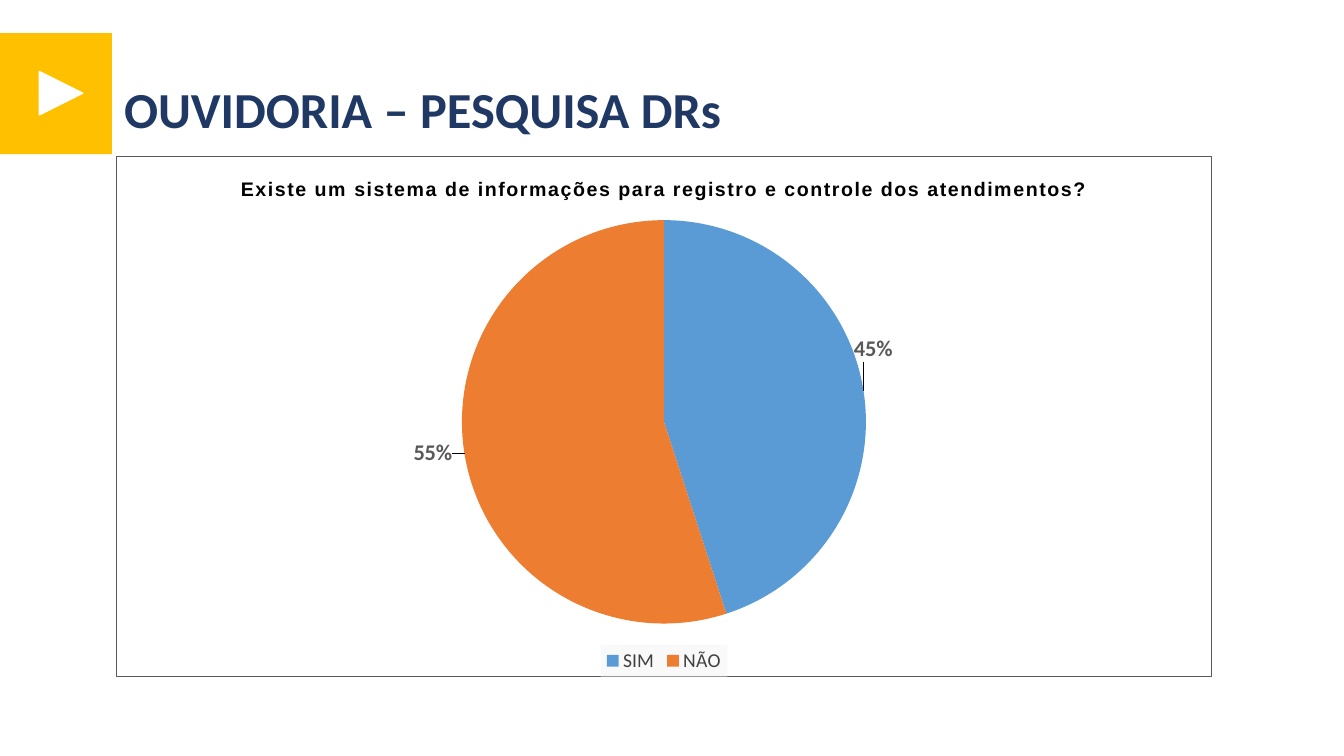
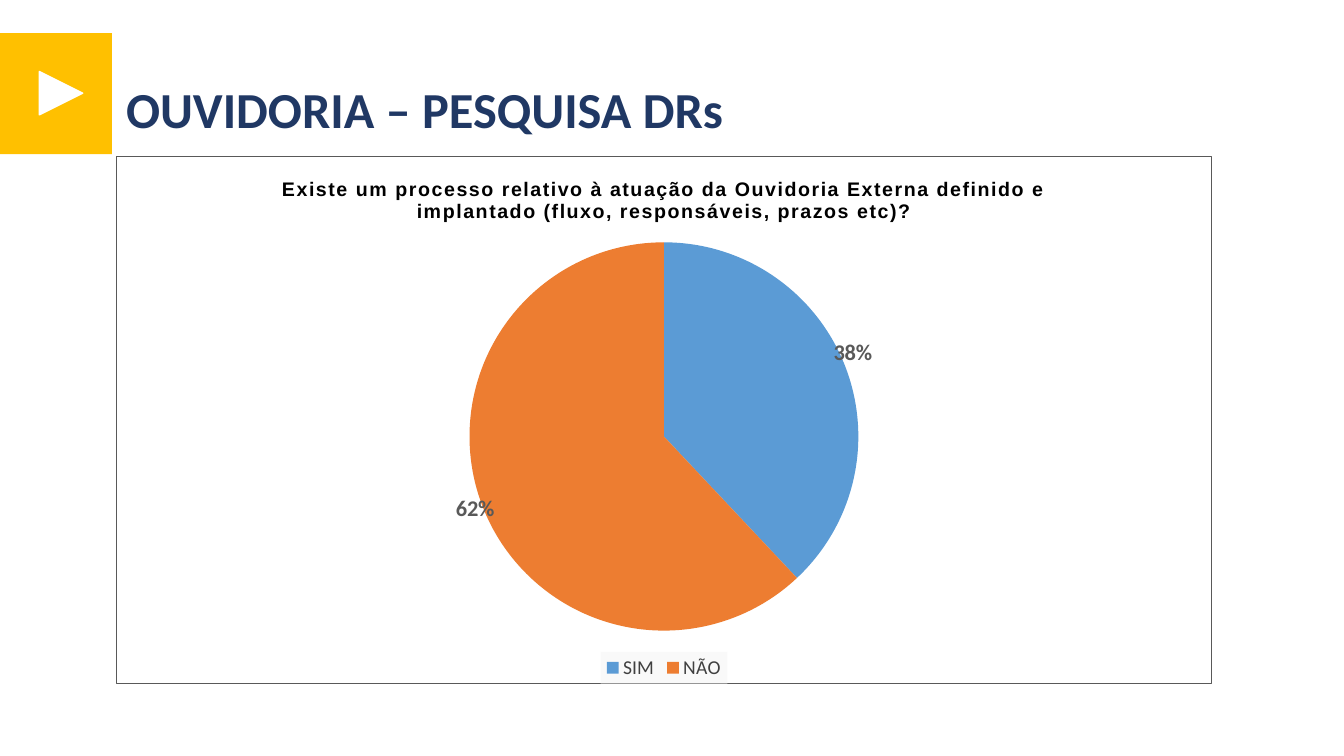
from pptx import Presentation
from pptx import util as u
from pptx.chart.data import CategoryChartData
from pptx.dml.color import RGBColor
from pptx.enum import chart as ch, shapes, text
from pptx.oxml import parse_xml
from pptx.oxml.ns import nsdecls

COLORS = {
    "accent": "FFC000", "white": "FFFFFF", "title": "203864",
    "black": "000000", "label": "595959", "legend": "404040",
    "legend_bg": "F2F2F2", "yes": "5B9BD5", "no": "ED7D31",
}
TITLE = "OUVIDORIA – PESQUISA DRs"
# Question, values, chart height, title left, label offsets (share of chart size)
SURVEYS = [
    ("Existe um sistema de informações para registro e controle dos atendimentos?",
     (45, 55), 5.17, 1.13, ((0.1, -0.11), (-0.12, 0.03))),
    ("Existe um processo relativo à atuação da Ouvidoria Externa definido e "
     "implantado (fluxo, responsáveis, prazos etc)?",
     (38, 62), 5.24, 1.15, ((0.09, -0.09), (-0.09, 0.07))),
]


def rgb(name):
    return RGBColor.from_string(COLORS[name])


def style_font(font, size, color, bold=False, name="Calibri"):
    font.size, font.bold, font.name = u.Pt(size), bold, name
    font.color.rgb = rgb(color)


def write(tf, content, align=text.PP_ALIGN.LEFT, spacing=None, **fmt):
    """Fill a text frame with one formatted run and return the run."""
    p = tf.paragraphs[0]
    p.alignment = align
    if spacing:
        p.line_spacing = spacing
    r = p.add_run()
    r.text = content
    style_font(r.font, **fmt)
    return r


def add_block(s, kind, box, color):
    sp = s.shapes.add_shape(kind, *map(u.Inches, box))
    sp.shadow.inherit = False
    sp.fill.solid()
    sp.fill.fore_color.rgb = rgb(color)
    sp.line.fill.background()
    return sp


def add_layout_marker(s):
    """Draw the play marker and move it to the shared layout."""
    square = add_block(s, shapes.MSO_SHAPE.RECTANGLE, (0, 0.33, 1.11, 1.2), "accent")
    arrow = add_block(s, shapes.MSO_SHAPE.ISOSCELES_TRIANGLE,
                      (0.39, 0.71, 0.43, 0.43), "white")
    arrow.rotation = 90
    arrow.line.color.rgb = rgb("white")
    arrow.line.width = u.Pt(1)
    for sp in (square, arrow):
        s.slide_layout.shapes._spTree.append(sp._element)


def add_title(s, left):
    sp = s.shapes.title
    sp.left, sp.top, sp.width, sp.height = map(u.Inches, (left, 0.84, 9.4, 0.54))
    tf = sp.text_frame
    tf.auto_size = text.MSO_AUTO_SIZE.NONE
    tf.vertical_anchor = text.MSO_ANCHOR.MIDDLE
    write(tf, TITLE, spacing=0.9, size=36, color="title", bold=True)


def move_label(labels, idx, dx, dy):
    """Shift one percentage label away from the centre of its slice."""
    flags = "".join(f'<c:show{k} val="{int(k == "Percent")}"/>' for k in
                    ("LegendKey", "Val", "CatName", "SerName", "Percent", "BubbleSize"))
    labels._element.insert(idx, parse_xml(
        f'<c:dLbl {nsdecls("c")}><c:idx val="{idx}"/><c:layout><c:manualLayout>'
        f'<c:x val="{dx}"/><c:y val="{dy}"/></c:manualLayout></c:layout>'
        f'<c:dLblPos val="ctr"/>{flags}</c:dLbl>'))


def add_backgrounds(chart):
    """Outline the chart and tint its legend."""
    frame = parse_xml(
        f'<c:spPr {nsdecls("c", "a")}><a:solidFill><a:srgbClr val="{COLORS["white"]}"/>'
        f'</a:solidFill><a:ln w="{u.Pt(0.75)}"><a:solidFill>'
        f'<a:srgbClr val="{COLORS["label"]}"/></a:solidFill></a:ln></c:spPr>')
    tint = parse_xml(
        f'<c:spPr {nsdecls("c", "a")}><a:solidFill><a:srgbClr val="{COLORS["legend_bg"]}">'
        '<a:alpha val="40000"/></a:srgbClr></a:solidFill></c:spPr>')
    for parent, sp_pr in ((chart._chartSpace, frame), (chart.legend._element, tint)):
        parent.find("{*}txPr").addprevious(sp_pr)


def add_pie(s, question, values, height, offsets):
    data = CategoryChartData()
    data.categories = ["SIM", "NÃO"]
    data.add_series("Series 1", values)
    chart = s.shapes.add_chart(
        ch.XL_CHART_TYPE.PIE, *map(u.Inches, (1.15, 1.55, 10.87, height)), data).chart
    style_font(chart.font, 10, "black")

    # Chart title with wide letter spacing
    chart.has_title = True
    r = write(chart.chart_title.text_frame, question, align=text.PP_ALIGN.CENTER,
              size=14, color="black", bold=True, name="Arial")
    r.font._element.set("spc", "100")
    chart.chart_title.include_in_layout = False

    # Legend
    chart.has_legend = True
    chart.legend.position = ch.XL_LEGEND_POSITION.BOTTOM
    chart.legend.include_in_layout = False
    style_font(chart.legend.font, 14, "legend")

    # Slices and percentage labels
    plot = chart.plots[0]
    plot.vary_by_categories = True
    labels = plot.series[0].data_labels
    labels.show_percentage, labels.show_value = True, False
    labels.number_format, labels.number_format_is_linked = "0%", False
    labels.position = ch.XL_LABEL_POSITION.CENTER
    style_font(labels.font, 16, "label", bold=True)
    for i, (color, offset) in enumerate(zip(("yes", "no"), offsets)):
        fill = plot.series[0].points[i].format.fill
        fill.solid()
        fill.fore_color.rgb = rgb(color)
        move_label(labels, i, *offset)
    add_backgrounds(chart)


def main():
    prs = Presentation()
    prs.slide_width, prs.slide_height = u.Inches(13.33), u.Inches(7.5)
    layout = prs.slide_layouts[5]
    for i, (question, values, height, title_left, offsets) in enumerate(SURVEYS):
        s = prs.slides.add_slide(layout)
        if i == 0:
            add_layout_marker(s)
        add_title(s, title_left)
        add_pie(s, question, values, height, offsets)
    prs.save("out.pptx")


if __name__ == "__main__":
    main()
